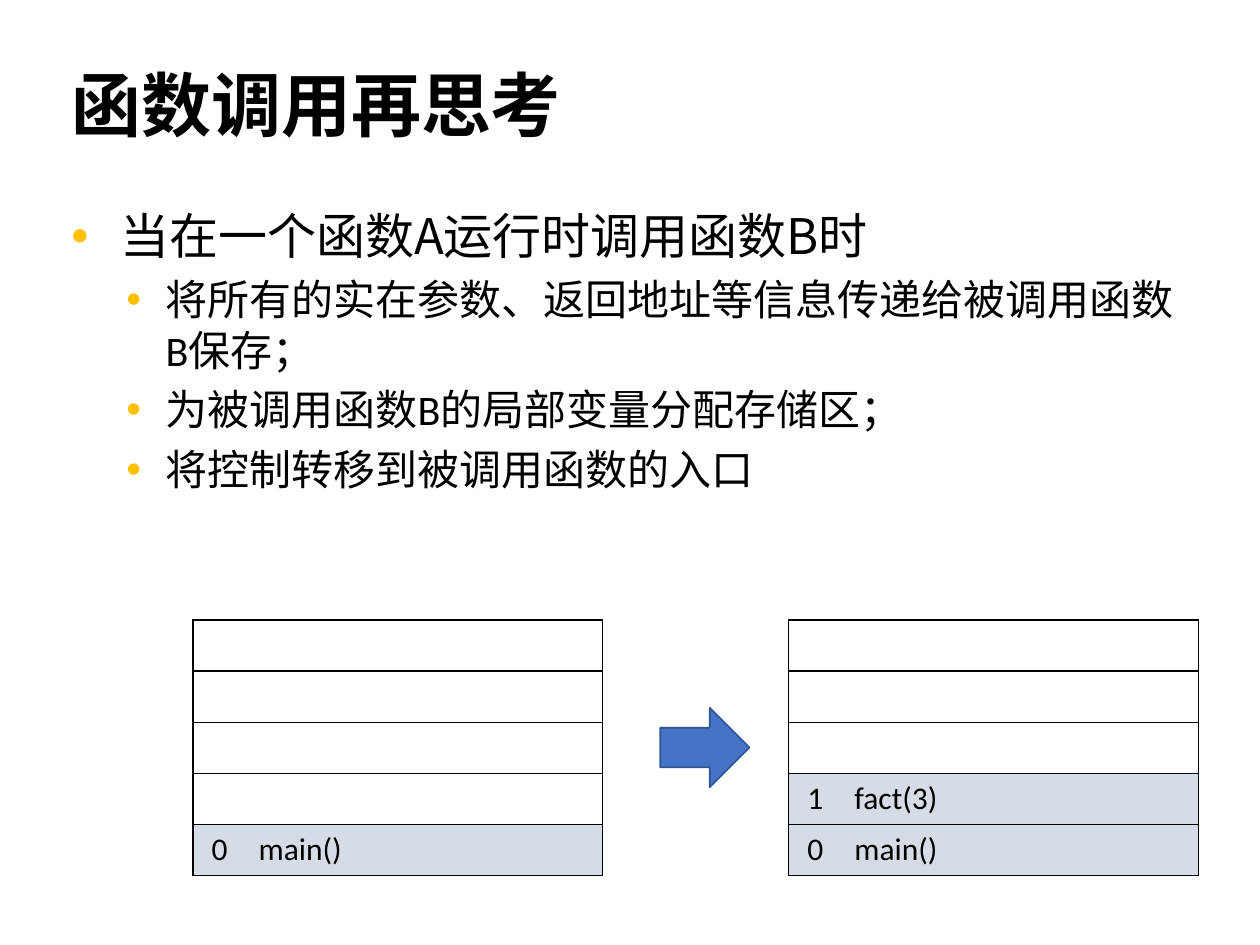
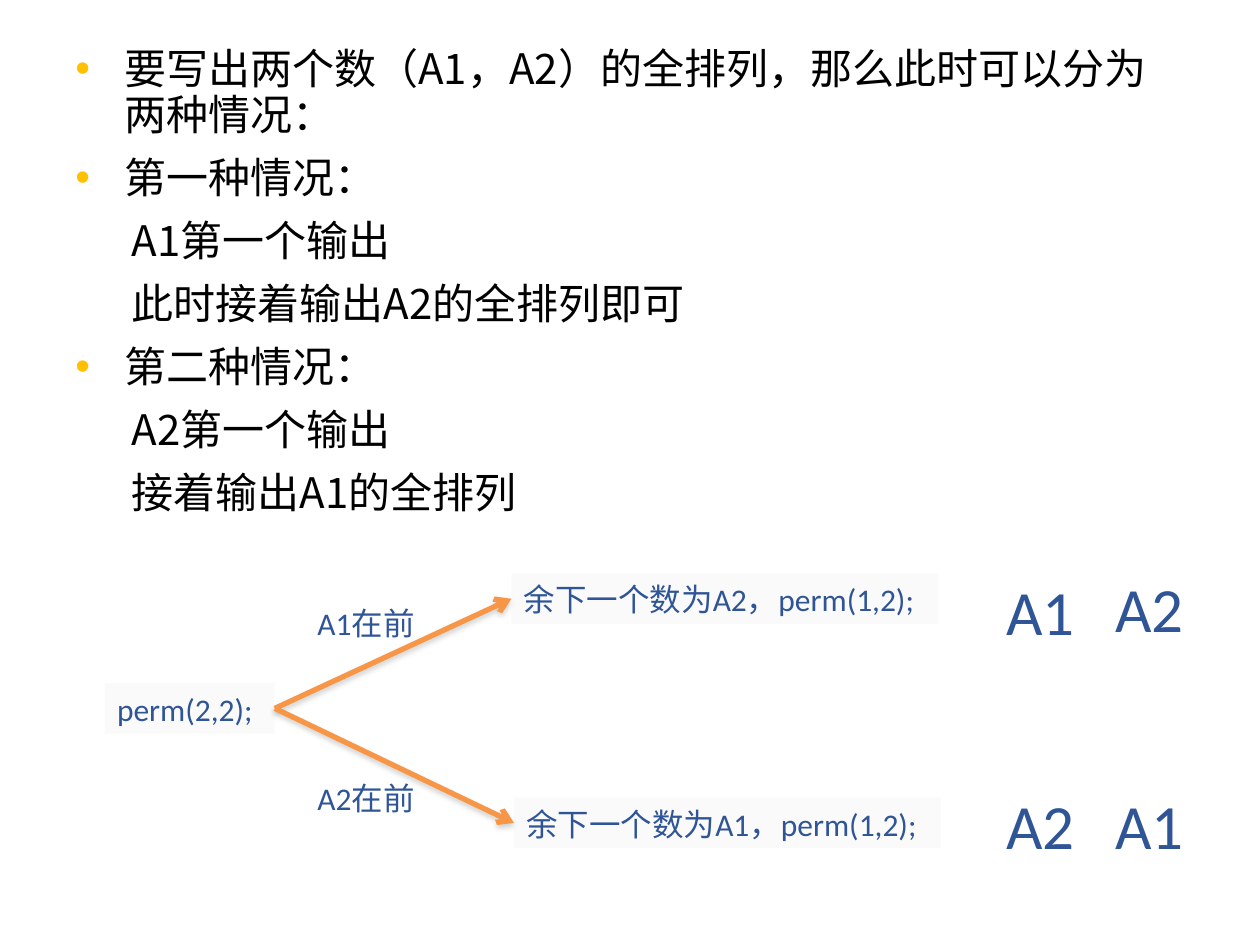
from dataclasses import dataclass
from typing import Optional

from lxml import etree
from pptx import Presentation
from pptx import util as u
from pptx.dml.color import RGBColor
from pptx.enum import shapes, text
from pptx.oxml import ns

Cm, Pt = u.Cm, u.Pt


@dataclass(frozen=True)
class Theme:
    latin: str = "Calibri"
    cjk: str = "Noto Sans CJK SC"
    ink: str = "000000"
    bullet: str = "FFC000"
    call: str = "2F5597"
    call_fill: str = "EDEDED"
    frame_fill: str = "D6DCE5"
    arrow: str = "4472C4"
    arrow_edge: str = "325491"
    branch: str = "F79646"
    shadow: str = "808080"
    title: int = 40
    result: int = 36
    lead: int = 28
    body: int = 24
    small: int = 18


THEME = Theme()


@dataclass(frozen=True)
class Box:
    left: float
    top: float
    width: float
    height: float

    def lengths(self) -> tuple:
        return Cm(self.left), Cm(self.top), Cm(self.width), Cm(self.height)


@dataclass(frozen=True)
class Para:
    text: str
    size: int
    pitch: float
    color: str = THEME.ink
    font: str = THEME.latin
    bold: bool = False
    margin: float = 0
    hang: float = 0
    before: float = 0
    bullet: bool = False


@dataclass(frozen=True)
class Branch:
    label: str
    label_top: float
    call: str
    call_left: float
    call_top: float
    results: tuple
    result_tops: tuple


def lead(words: str) -> Para:
    return Para(words, THEME.lead, 34, font=THEME.cjk, margin=0.99, hang=0.99, before=10, bullet=True)


def detail(words: str) -> Para:
    return Para(words, THEME.body, 29, margin=1.9, hang=0.79, before=5, bullet=True)


def case(words: str) -> Para:
    return Para(words, THEME.body, 26, font=THEME.cjk, margin=0.99, hang=0.99, before=10, bullet=True)


def step(words: str) -> Para:
    return Para(words, THEME.body, 26, font=THEME.cjk, margin=1.14, before=10)


def call_text(words: str, size: int = THEME.small) -> Para:
    return Para(words, size, round(size * 1.22), color=THEME.call)


TITLE = Box(1.19, 1.19, 23.01, 2.46)
CALL_STEPS = [
    lead("当在一个函数A运行时调用函数B时"),
    detail("将所有的实在参数、返回地址等信息传递给被调用函数B保存；"),
    detail("为被调用函数B的局部变量分配存储区；"),
    detail("将控制转移到被调用函数的入口"),
]
STACK_ROWS = 5
STACK_TOP, STACK_ROW = 12.5, 1.03
STACK_COLUMNS = (1.07, 7.19)
STACKS = [(3.89, ["main()"]), (15.9, ["main()", "fact(3)"])]

PERMUTATION_CASES = [
    case("要写出两个数（A1，A2）的全排列，那么此时可以分为两种情况："),
    case("第一种情况："),
    step("A1第一个输出"),
    step("此时接着输出A2的全排列即可"),
    case("第二种情况："),
    step("A2第一个输出"),
    step("接着输出A1的全排列"),
]
CALL_HEIGHT = 1.02
ROOT = Box(2.11, 13.77, 3.43, CALL_HEIGHT)
RESULT_LEFTS = (20.04, 22.23)
BRANCHES = [
    Branch("A1在前", 12.04, "余下一个数为A2，perm(1,2);", 10.31, 11.56, ("A1", "A2"), (11.38, 11.33)),
    Branch("A2在前", 15.57, "余下一个数为A1，perm(1,2);", 10.36, 16.08, ("A2", "A1"), (15.7, 15.7)),
]


def rgb(color: str) -> RGBColor:
    return RGBColor.from_string(color)


def add_xml(parent, tag: str, **attributes: str):
    return etree.SubElement(parent, ns.qn(tag), attributes)


def style_run(r, size: int, color: str = THEME.ink, font: str = THEME.latin, bold: bool = False) -> None:
    r.font.size, r.font.bold, r.font.name = Pt(size), bold, font
    r.font.color.rgb = rgb(color)
    add_xml(r._r.get_or_add_rPr(), "a:ea", typeface=THEME.cjk)


def write(tf, paras: list[Para]) -> None:
    tf.word_wrap = True
    tf.vertical_anchor = text.MSO_ANCHOR.TOP
    tf.text = "\n".join(para.text for para in paras)
    for p, para in zip(tf.paragraphs, paras):
        p.alignment = text.PP_ALIGN.LEFT
        p.line_spacing, p.space_before = Pt(para.pitch), Pt(para.before)
        pPr = p._p.get_or_add_pPr()
        pPr.set("marL", str(Cm(para.margin)))
        pPr.set("indent", str(-Cm(para.hang)))
        if para.bullet:
            add_xml(add_xml(pPr, "a:buClr"), "a:srgbClr", val=THEME.bullet)
            add_xml(pPr, "a:buFont", typeface="Arial")
            add_xml(pPr, "a:buChar", char="•")
        for r in p.runs:
            style_run(r, para.size, para.color, para.font, para.bold)


def add_text(s, box: Box, *paras: Para) -> None:
    write(s.shapes.add_textbox(*box.lengths()).text_frame, list(paras))


def add_call(s, box: Box, words: str) -> None:
    """Draw a function call on a pale, mostly transparent band."""
    sp = s.shapes.add_shape(shapes.MSO_SHAPE.RECTANGLE, *box.lengths())
    sp.shadow.inherit = False
    sp.line.fill.background()
    sp.fill.solid()
    sp.fill.fore_color.rgb = rgb(THEME.call_fill)
    add_xml(sp._element.spPr.find(".//" + ns.qn("a:srgbClr")), "a:alpha", val="25000")
    write(sp.text_frame, [call_text(words)])


def set_border(cell, side: str, color: Optional[str]) -> None:
    ln = add_xml(cell._tc.get_or_add_tcPr(), f"a:ln{side}", w=str(Pt(1)))
    if color:
        add_xml(add_xml(ln, "a:solidFill"), "a:srgbClr", val=color)
    else:
        add_xml(ln, "a:noFill")


def add_stack(s, left: float, calls: list[str]) -> None:
    """Draw a call stack that fills from the bottom row up."""
    box = Box(left, STACK_TOP, sum(STACK_COLUMNS), STACK_ROWS * STACK_ROW)
    table = s.shapes.add_table(STACK_ROWS, len(STACK_COLUMNS), *box.lengths()).table
    table.first_row = table.horz_banding = False
    for column, width in zip(table.columns, STACK_COLUMNS):
        column.width = Cm(width)
    for i, row in enumerate(table.rows):
        row.height = Cm(STACK_ROW)
        depth = STACK_ROWS - 1 - i
        used = depth < len(calls)
        for j, cell in enumerate(row.cells):
            outer = "LR"[j]
            for side in "LRTB":
                set_border(cell, side, THEME.ink if side in outer + "TB" else None)
            if not used:
                cell.fill.background()
                continue
            cell.fill.solid()
            cell.fill.fore_color.rgb = rgb(THEME.frame_fill)
            cell.text_frame.text = (str(depth), calls[depth])[j]
            p = cell.text_frame.paragraphs[0]
            p.alignment = (text.PP_ALIGN.CENTER, text.PP_ALIGN.LEFT)[j]
            style_run(p.runs[0], THEME.small)


def add_branch_line(s, end_x: float, end_y: float) -> None:
    start = Cm(ROOT.left + ROOT.width), Cm(ROOT.top + ROOT.height / 2)
    line = s.shapes.add_connector(shapes.MSO_CONNECTOR.STRAIGHT, *start, Cm(end_x), Cm(end_y))
    line.line.color.rgb = rgb(THEME.branch)
    line.line.width = Pt(3)
    add_xml(line.line._get_or_add_ln(), "a:tailEnd", type="arrow")
    effects = add_xml(line._element.spPr, "a:effectLst")
    shadow = add_xml(effects, "a:outerShdw", blurRad=str(Pt(3.1)), dist=str(Pt(1.8)),
                     dir="5400000", rotWithShape="0")
    add_xml(add_xml(shadow, "a:srgbClr", val=THEME.shadow), "a:alpha", val="35000")


def add_branch(s, branch: Branch) -> None:
    add_branch_line(s, branch.call_left, branch.call_top + CALL_HEIGHT / 2)
    add_text(s, Box(6.15, branch.label_top, 2.49, CALL_HEIGHT), call_text(branch.label))
    add_call(s, Box(branch.call_left, branch.call_top, 8.61, CALL_HEIGHT), branch.call)
    for words, left, top in zip(branch.results, RESULT_LEFTS, branch.result_tops):
        add_text(s, Box(left, top, 1.91, 1.8), call_text(words, THEME.result))


def build_call_slide(s) -> None:
    add_text(s, TITLE, Para("函数调用再思考", THEME.title, 46, bold=True))
    add_text(s, Box(1.19, 4.01, 23.01, 13.08), *CALL_STEPS)
    for left, calls in STACKS:
        add_stack(s, left, calls)
    sp = s.shapes.add_shape(shapes.MSO_SHAPE.RIGHT_ARROW, *Box(13.31, 14.27, 1.8, 1.6).lengths())
    sp.shadow.inherit = False
    sp.fill.solid()
    sp.fill.fore_color.rgb = rgb(THEME.arrow)
    sp.line.color.rgb = rgb(THEME.arrow_edge)
    sp.line.width = Pt(1)


def build_permutation_slide(s) -> None:
    add_text(s, Box(1.27, 0.84, 22.7, 9.73), *PERMUTATION_CASES)
    add_call(s, ROOT, "perm(2,2);")
    for branch in BRANCHES:
        add_branch(s, branch)


def main() -> None:
    prs = Presentation()
    prs.slide_width, prs.slide_height = Cm(25.4), Cm(19.05)
    for build in (build_call_slide, build_permutation_slide):
        build(prs.slides.add_slide(prs.slide_layouts[6]))
    prs.save("out.pptx")


if __name__ == "__main__":
    main()
